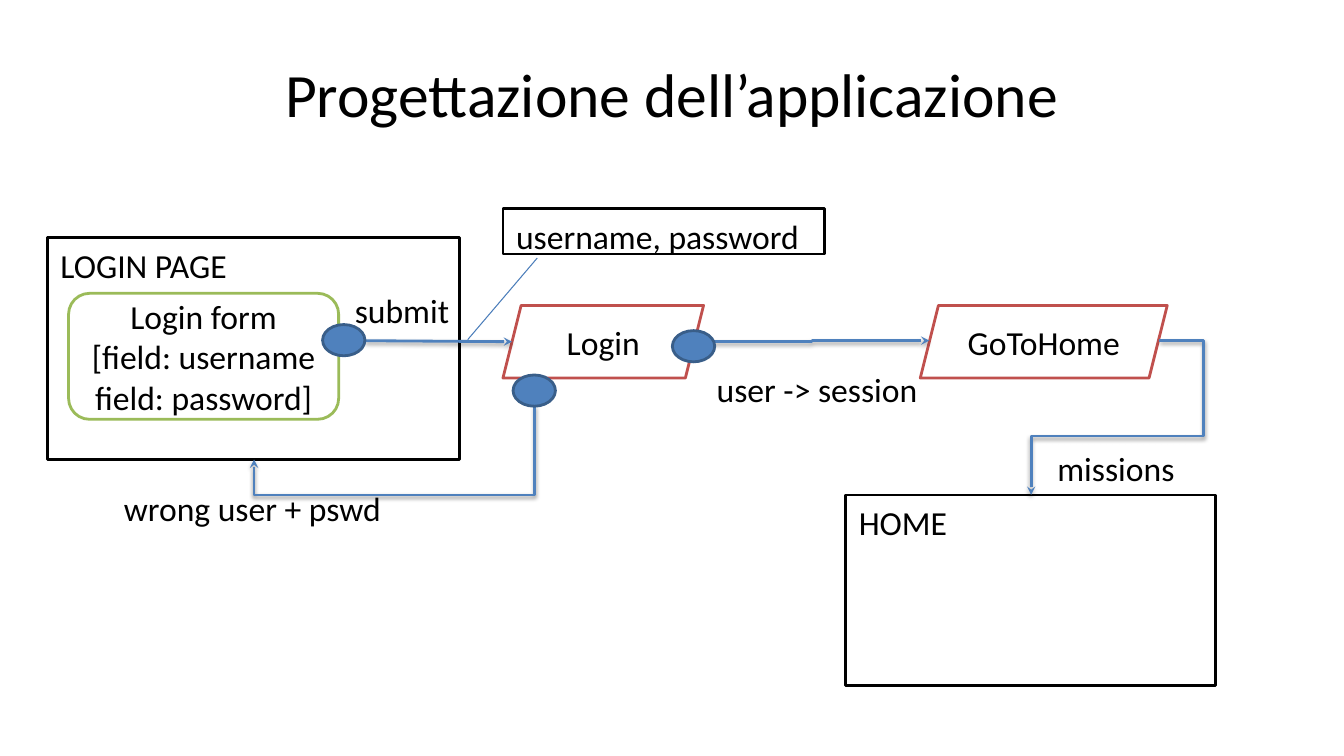
from dataclasses import dataclass

from lxml.etree import SubElement
from pptx import Presentation
from pptx.dml.color import RGBColor
from pptx.enum.shapes import MSO_CONNECTOR, MSO_SHAPE
from pptx.enum.text import MSO_ANCHOR, PP_ALIGN
from pptx.oxml.ns import qn
from pptx.util import Emu, Inches, Pt

BLACK = RGBColor(0x00, 0x00, 0x00)
WHITE = RGBColor(0xFF, 0xFF, 0xFF)
GREEN = RGBColor(0x9B, 0xBB, 0x59)
RED = RGBColor(0xC0, 0x50, 0x4D)
BLUE = RGBColor(0x4F, 0x81, 0xBD)
DARK_BLUE = RGBColor(0x39, 0x5E, 0x89)
CALLOUT_BLUE = RGBColor(0x4A, 0x7D, 0xBA)

FONT = "Calibri"
BODY_SIZE = 24

# Positions count cells of a grid of 160 columns by 90 rows
WIDTH, HEIGHT = Inches(13.33), Inches(7.5)
COLUMNS, ROWS = 160, 90
ACTION_TOP, ACTION_HEIGHT = 36.36, 8.64
DOT_WIDTH, DOT_HEIGHT = 5.04, 3.72
LABEL_HEIGHT = 4.8


def columns(count: float) -> Emu:
    return Emu(round(WIDTH * count / COLUMNS))


def rows(count: float) -> Emu:
    return Emu(round(HEIGHT * count / ROWS))


@dataclass(frozen=True)
class Box:
    text: str
    left: float
    top: float
    width: float
    height: float
    line: RGBColor = BLACK
    kind: MSO_SHAPE = MSO_SHAPE.RECTANGLE
    centred: bool = False


@dataclass(frozen=True)
class Label:
    text: str
    left: float
    top: float
    width: float


@dataclass(frozen=True)
class Link:
    start: tuple[float, float]
    end: tuple[float, float]
    preset: str = "line"
    bends: tuple[int, ...] = ()
    upright: bool = False  # leaves and arrives vertically
    arrow: bool = True
    color: RGBColor = BLUE
    weight: float = 2


BOXES = [
    Box("LOGIN PAGE", 5.64, 28.32, 49.08, 26.4),
    Box("Login form\v[field: username\nfield: password]", 8.16, 34.92, 32.16, 15,
        GREEN, MSO_SHAPE.ROUNDED_RECTANGLE, True),
    Box("HOME", 100.68, 58.92, 44.04, 22.68),
    Box("username, password", 59.88, 24.84, 38.28, 5.4),
    Box("Login", 59.88, ACTION_TOP, 23.88, ACTION_HEIGHT,
        RED, MSO_SHAPE.PARALLELOGRAM, True),
    Box("GoToHome", 109.56, ACTION_TOP, 29.4, ACTION_HEIGHT,
        RED, MSO_SHAPE.PARALLELOGRAM, True),
]
LINKS = [
    Link((43.44, 40.56), (60.96, 40.68)),
    Link((82.68, 40.68), (110.64, 40.56), "bentConnector3", (50000,)),
    Link((63.6, 48.36), (30.24, 54.72), "bentConnector3", (166200,), upright=True),
    Link((138, 40.56), (122.76, 58.92), "bentConnector4", (-34500, 61800)),
    Link((63.96, 30.72), (55.68, 40.44), arrow=False, color=CALLOUT_BLUE, weight=0.75),
]
DOTS = [(38.4, 38.64), (80.04, 39.36), (61.08, 44.64)]
LABELS = [
    Label("submit", 40.68, 33.72, 14.52),
    Label("wrong user + pswd", 13.2, 57.24, 43.56),
    Label("user -> session", 83.76, 43.08, 27.12),
    Label("missions", 124.32, 52.44, 27.12),
]


def write(shape, text: str, size: float = BODY_SIZE, centred: bool = False) -> None:
    frame = shape.text_frame
    frame.text = text
    frame.word_wrap = True
    frame.vertical_anchor = MSO_ANCHOR.MIDDLE if centred else MSO_ANCHOR.TOP
    frame.margin_left = frame.margin_right = Inches(0.13)
    frame.margin_top = frame.margin_bottom = Inches(0.07)
    for paragraph in frame.paragraphs:
        paragraph.alignment = PP_ALIGN.CENTER if centred else PP_ALIGN.LEFT
        paragraph.font.name = FONT
        paragraph.font.size = Pt(size)
        paragraph.font.color.rgb = BLACK


def add_outlined(slide, kind: MSO_SHAPE, left: float, top: float, width: float,
                 height: float, fill: RGBColor, line: RGBColor):
    shape = slide.shapes.add_shape(
        kind, columns(left), rows(top), columns(width), rows(height))
    shape.shadow.inherit = False
    shape.fill.solid()
    shape.fill.fore_color.rgb = fill
    shape.line.color.rgb = line
    shape.line.width = Pt(2)
    return shape


def add_box(slide, box: Box) -> None:
    shape = add_outlined(slide, box.kind, box.left, box.top, box.width,
                         box.height, WHITE, box.line)
    write(shape, box.text, centred=box.centred)


def add_label(slide, label: Label) -> None:
    text_box = slide.shapes.add_textbox(
        columns(label.left), rows(label.top), columns(label.width), rows(LABEL_HEIGHT))
    write(text_box, label.text)


def add_link(slide, link: Link) -> None:
    x1, y1 = columns(link.start[0]), rows(link.start[1])
    x2, y2 = columns(link.end[0]), rows(link.end[1])
    if link.upright:  # frame before its quarter turn
        middle_x, middle_y = (x1 + x2) // 2, (y1 + y2) // 2
        half_width, half_height = (y2 - y1) // 2, (x1 - x2) // 2
        x1, x2 = middle_x - half_width, middle_x + half_width
        y1, y2 = middle_y - half_height, middle_y + half_height
    kind = MSO_CONNECTOR.ELBOW if link.bends else MSO_CONNECTOR.STRAIGHT
    connector = slide.shapes.add_connector(kind, x1, y1, x2, y2)
    connector.line.color.rgb = link.color
    connector.line.width = Pt(link.weight)

    properties = connector._element.spPr
    if link.upright:
        properties.find(qn("a:xfrm")).set("rot", "5400000")
    if link.bends:
        geometry = properties.find(qn("a:prstGeom"))
        geometry.set("prst", link.preset)
        adjustments = geometry.find(qn("a:avLst"))
        for number, bend in enumerate(link.bends, 1):
            SubElement(adjustments, qn("a:gd"), name=f"adj{number}", fmla=f"val {bend}")

    # Arrowhead and soft shadow
    effects = SubElement(properties, qn("a:effectLst"))
    if link.arrow:
        SubElement(properties.find(qn("a:ln")), qn("a:tailEnd"), type="stealth")
        shadow = SubElement(effects, qn("a:outerShdw"), blurRad=str(Pt(3.1)),
                            dist=str(Pt(1.6)), dir="5400000", rotWithShape="0")
        color = SubElement(shadow, qn("a:srgbClr"), val=str(BLACK))
        SubElement(color, qn("a:alpha"), val="38000")


presentation = Presentation()
presentation.slide_width, presentation.slide_height = WIDTH, HEIGHT
slide = presentation.slides.add_slide(presentation.slide_layouts[5])

# Title
title = slide.shapes.title
title.left, title.top = columns(8), rows(3.6)
title.width, title.height = columns(144), rows(15)
write(title, "Progettazione dell’applicazione", 44, centred=True)

# Pages and actions, then the flow between them
for box in BOXES:
    add_box(slide, box)
for link in LINKS:
    add_link(slide, link)
for left, top in DOTS:
    add_outlined(slide, MSO_SHAPE.OVAL, left, top, DOT_WIDTH, DOT_HEIGHT, BLUE, DARK_BLUE)
for label in LABELS:
    add_label(slide, label)

presentation.save("out.pptx")
